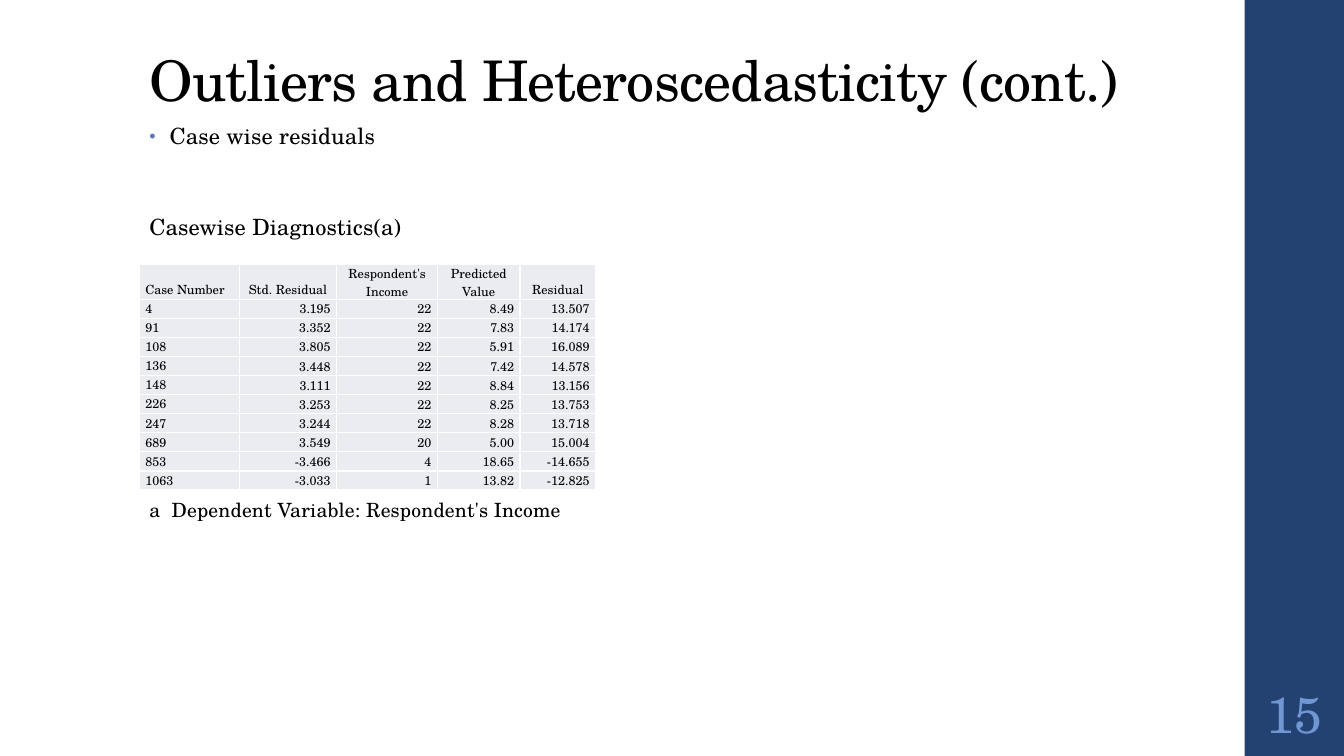
from lxml import etree
from pptx import Presentation
from pptx.dml.color import RGBColor
from pptx.enum.shapes import MSO_SHAPE
from pptx.enum.text import MSO_ANCHOR as ANCHOR, MSO_AUTO_SIZE as AUTO_SIZE, PP_ALIGN as ALIGN
from pptx.oxml import parse_xml
from pptx.oxml.ns import nsdecls
from pptx.util import Pt


def color(hex_text):
    return RGBColor.from_string(hex_text)


def style(paragraph, size, hex_text="000000", spacing=None):
    for run in paragraph.runs:
        run.font.name = "TeX Gyre Schola"
        run.font.size = Pt(size)
        run.font.color.rgb = color(hex_text)
        if spacing is not None:
            run.font._element.set("spc", str(spacing))


deck = Presentation()
deck.slide_width, deck.slide_height = Pt(960), Pt(540)
slide = deck.slides.add_slide(deck.slide_layouts[1])

sidebar = slide.shapes.add_shape(MSO_SHAPE.RECTANGLE, Pt(889), 0, Pt(71), Pt(540))
sidebar.shadow.inherit = False
sidebar.fill.solid()
sidebar.fill.fore_color.rgb = color("234271")
sidebar.line.fill.background()

title = slide.shapes.title
title.left, title.top, title.width, title.height = Pt(99.5), Pt(29), Pt(763), Pt(56)
title.text_frame.text = "Outliers and Heteroscedasticity (cont.)"
title.text_frame.vertical_anchor = ANCHOR.BOTTOM
title.text_frame.auto_size = AUTO_SIZE.NONE
heading = title.text_frame.paragraphs[0]
heading.alignment = ALIGN.LEFT
heading.line_spacing = 0.9
style(heading, 40, spacing=-50)

body = slide.placeholders[1]
body.left, body.top, body.width, body.height = Pt(99.5), Pt(85), Pt(677), Pt(402)
notes = [
    ("Case wise residuals", 16, 14, True),
    ("Casewise Diagnostics(a)", 16, 45, False),
    ("a  Dependent Variable: Respondent's Income", 14, 182.5, False),
]
body.text_frame.text = "\n".join(note[0] for note in notes)
body.text_frame.auto_size = AUTO_SIZE.NONE
for paragraph, (_, size, gap, bulleted) in zip(body.text_frame.paragraphs, notes):
    paragraph.line_spacing = 0.95
    paragraph.space_before, paragraph.space_after = Pt(gap), Pt(2)
    style(paragraph, size, spacing=10)
    properties = paragraph._p.get_or_add_pPr()
    indent = Pt(14.4) if bulleted else 0
    properties.set("marL", str(indent))
    properties.set("indent", str(-indent))
    if bulleted:
        bullet_parts = [
            f'<a:buClr {nsdecls("a")}><a:srgbClr val="6076B4"/></a:buClr>',
            f'<a:buSzPct {nsdecls("a")} val="80000"/>',
            f'<a:buFont {nsdecls("a")} typeface="Arial"/>',
            f'<a:buChar {nsdecls("a")} char="•"/>',
        ]
    else:
        bullet_parts = [f'<a:buNone {nsdecls("a")}/>']
    for part in bullet_parts:
        properties.append(parse_xml(part))

page_number = slide.shapes.add_textbox(Pt(889), Pt(486), Pt(71), Pt(47))
page_frame = page_number.text_frame
page_frame.word_wrap = True
page_frame.vertical_anchor = ANCHOR.MIDDLE
page_frame.margin_left = page_frame.margin_right = Pt(3.6)
page_frame.text = "15"
page_frame.paragraphs[0].alignment = ALIGN.CENTER
style(page_frame.paragraphs[0], 36, "7097D3")

diagnostics = [
    ("Case Number", "Std. Residual", "Respondent's Income", "Predicted Value", "Residual"),
    ("4", "3.195", "22", "8.49", "13.507"),
    ("91", "3.352", "22", "7.83", "14.174"),
    ("108", "3.805", "22", "5.91", "16.089"),
    ("136", "3.448", "22", "7.42", "14.578"),
    ("148", "3.111", "22", "8.84", "13.156"),
    ("226", "3.253", "22", "8.25", "13.753"),
    ("247", "3.244", "22", "8.28", "13.718"),
    ("689", "3.549", "20", "5.00", "15.004"),
    ("853", "-3.466", "4", "18.65", "-14.655"),
    ("1063", "-3.033", "1", "13.82", "-12.825"),
]
column_widths = [71.5, 69.5, 72, 59, 54]
table = slide.shapes.add_table(
    len(diagnostics), len(column_widths), Pt(99.5), Pt(188.5), Pt(326), Pt(162)
).table
for column, width in zip(table.columns, column_widths):
    column.width = Pt(width)
for row_index, values in enumerate(diagnostics):
    is_header = row_index == 0
    table.rows[row_index].height = Pt(25.2 if is_header else 13.65)
    for column_index, value in enumerate(values):
        is_case = column_index == 0
        cell = table.cell(row_index, column_index)
        cell.text_frame.text = value
        cell.margin_left = cell.margin_right = Pt(4.3)
        cell.margin_top = cell.margin_bottom = 0
        cell.fill.solid()
        cell.fill.fore_color.rgb = color("EAECF2")
        if is_header:
            cell.vertical_anchor = ANCHOR.BOTTOM
        else:
            cell.vertical_anchor = ANCHOR.TOP if is_case else ANCHOR.MIDDLE
        paragraph = cell.text_frame.paragraphs[0]
        if is_case:
            paragraph.alignment = ALIGN.LEFT
        else:
            paragraph.alignment = ALIGN.CENTER if is_header else ALIGN.RIGHT
        style(paragraph, 9)
        paragraph.runs[0].font.bold = False
        cell_properties = cell._tc.get_or_add_tcPr()
        for position, side in enumerate(("lnL", "lnR", "lnT", "lnB")):
            border = parse_xml(
                f'<a:{side} {nsdecls("a")} w="{Pt(1)}"><a:solidFill>'
                f'<a:srgbClr val="FFFFFF"/></a:solidFill></a:{side}>'
            )
            cell_properties.insert(position, border)

deck.save("out.pptx")
